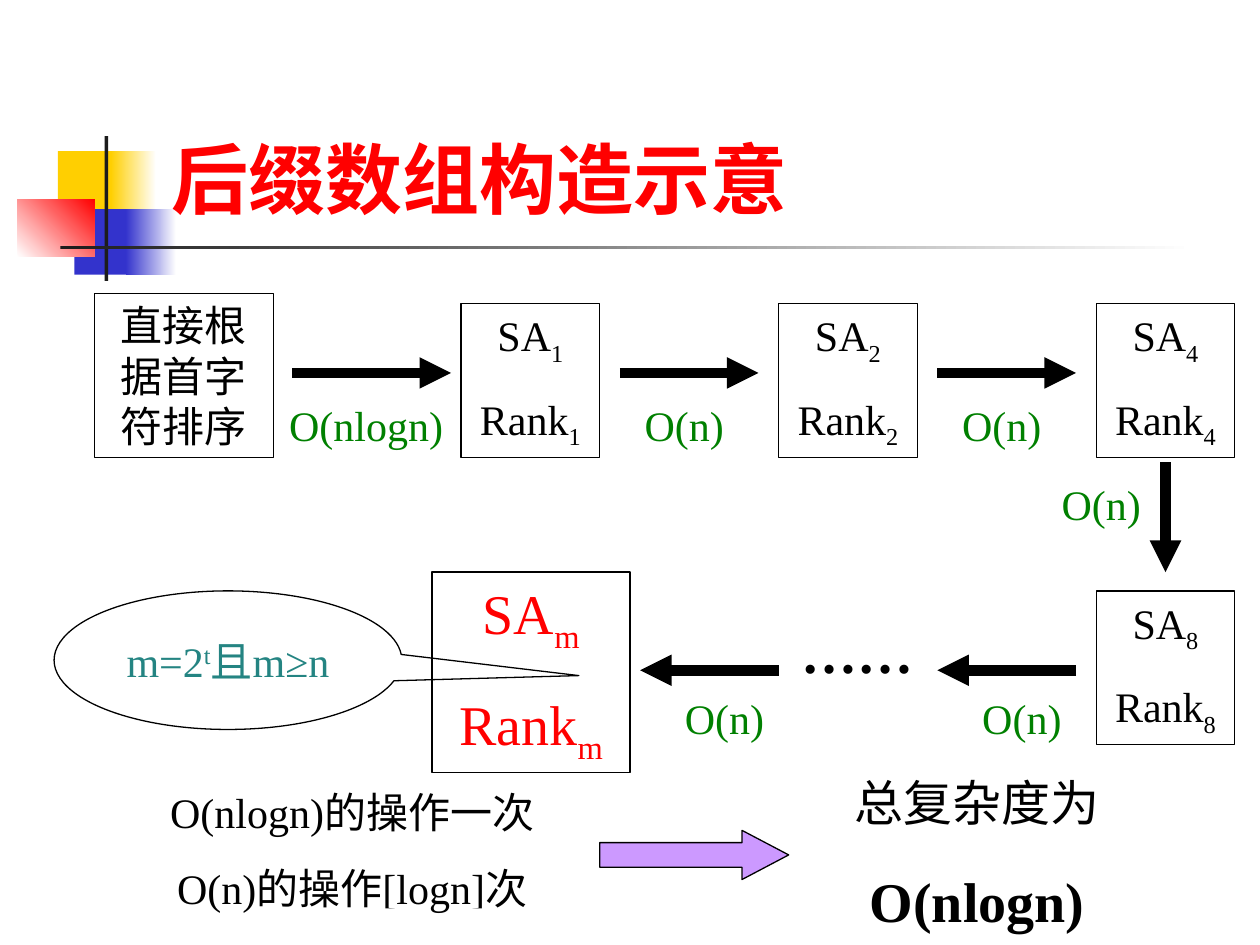
from dataclasses import dataclass

from lxml.etree import SubElement
from pptx import Presentation
from pptx.dml.color import RGBColor
from pptx.enum.shapes import MSO_CONNECTOR, MSO_SHAPE
from pptx.enum.text import MSO_ANCHOR, MSO_AUTO_SIZE, PP_ALIGN
from pptx.oxml.ns import qn
from pptx.util import Inches, Pt

BLACK = RGBColor(0x00, 0x00, 0x00)
WHITE = RGBColor(0xFF, 0xFF, 0xFF)
RED = RGBColor(0xFF, 0x00, 0x00)
GREEN = RGBColor(0x00, 0x80, 0x00)
TEAL = RGBColor(0x24, 0x84, 0x82)
YELLOW = RGBColor(0xFF, 0xCF, 0x01)
BLUE = RGBColor(0x33, 0x33, 0xCC)
DARK = RGBColor(0x1C, 0x1C, 0x1C)
LILAC = RGBColor(0xCC, 0x99, 0xFF)
SERIF = "Times New Roman"
SANS = "Noto Sans CJK SC"
SUB, SUPER = -25000, 30000
GAP = 2.52


@dataclass
class Area:
    left: float
    top: float
    width: float
    height: float

    def size(self) -> tuple:
        return tuple(Inches(v) for v in (self.left, self.top, self.width, self.height))


@dataclass
class Block:
    area: Area
    start: RGBColor
    end: RGBColor | None = None
    angle: int = 0


@dataclass
class Node:
    area: Area
    index: str
    size: int = 24
    color: RGBColor = BLACK


@dataclass
class Arrow:
    start: tuple[float, float]
    end: tuple[float, float]


@dataclass
class Cost:
    area: Area
    text: str = "O(n)"


def write(frame, *lines, size=24, color=BLACK, font=SERIF, bold=False, align=PP_ALIGN.CENTER,
          before=15, spacing=None, anchor=MSO_ANCHOR.TOP, grow=True, fresh=True) -> None:
    frame.word_wrap = True
    frame.vertical_anchor = anchor
    frame.auto_size = MSO_AUTO_SIZE.SHAPE_TO_FIT_TEXT if grow else MSO_AUTO_SIZE.NONE
    for i, line in enumerate(lines):
        first = fresh and i == 0
        para = frame.paragraphs[0] if first else frame.add_paragraph()
        para.alignment = align
        para.space_before = Pt(0 if first else before)
        if spacing:
            para.line_spacing = spacing
        for part in [line] if isinstance(line, str) else line:
            text, base = (part, 0) if isinstance(part, str) else part
            run = para.add_run()
            run.text = text
            run.font.size = Pt(size)
            run.font.bold = bold
            run.font.color.rgb = color
            run.font.name = font
            props = run.font._element
            SubElement(props, qn("a:ea")).set("typeface", SANS)
            if base:
                props.set("baseline", str(base))


def add_shape(slide, kind: MSO_SHAPE, area: Area, fill=None, line=None):
    shape = slide.shapes.add_shape(kind, *area.size())
    shape.shadow.inherit = False
    if fill is None:
        shape.fill.background()
    else:
        shape.fill.solid()
        shape.fill.fore_color.rgb = fill
    if line is None:
        shape.line.fill.background()
    else:
        shape.line.color.rgb = line
        shape.line.width = Pt(0.75)
    return shape


def add_text(slide, area: Area, *lines, **style):
    frame = slide.shapes.add_textbox(*area.size()).text_frame
    write(frame, *lines, **style)
    return frame


def add_block(slide, block: Block) -> None:
    shape = add_shape(slide, MSO_SHAPE.RECTANGLE, block.area, block.start)
    if block.end is not None:
        shape.fill.gradient()
        shape.fill.gradient_angle = block.angle
        for stop, color in zip(shape.fill.gradient_stops, (block.start, block.end)):
            stop.color.rgb = color


def add_node(slide, node: Node) -> None:
    box = add_shape(slide, MSO_SHAPE.RECTANGLE, node.area, line=BLACK)
    lines = [(name, (node.index, SUB)) for name in ("SA", "Rank")]
    write(box.text_frame, *lines, size=node.size, color=node.color, before=node.size * 0.625)


def add_arrow(slide, arrow: Arrow) -> None:
    ends = [Inches(v) for v in (*arrow.start, *arrow.end)]
    link = slide.shapes.add_connector(MSO_CONNECTOR.STRAIGHT, *ends)
    link.line.color.rgb = BLACK
    link.line.width = Pt(6)
    SubElement(link.line._get_or_add_ln(), qn("a:tailEnd")).set("type", "triangle")
    SubElement(link._element.spPr, qn("a:effectLst"))


BLOCKS = [
    Block(Area(0.46, 1.2, 0.48, 0.52), YELLOW),
    Block(Area(0.88, 1.2, 0.36, 0.52), YELLOW, WHITE),
    Block(Area(0.59, 1.66, 0.46, 0.52), BLUE),
    Block(Area(1, 1.66, 0.4, 0.52), BLUE, WHITE),
    Block(Area(0.14, 1.58, 0.61, 0.46), WHITE, RED, 45),
    Block(Area(0.83, 1.08, 0.03, 1.15), DARK),
    Block(Area(0.48, 1.95, 9, 0.03), DARK, WHITE),
]
NODES = [Node(Area(3.66 + GAP * i, 2.41, 1.1, 1.22), str(2 ** i)) for i in range(3)] + [
    Node(Area(8.7, 4.69, 1.1, 1.22), "8"),
    Node(Area(3.43, 4.54, 1.57, 1.59), "m", 32, RED),
]
ARROWS = [
    Arrow((2.32, 2.96), (3.58, 2.96)),
    *(Arrow((x, 2.96), (x + 1.1, 2.96)) for x in (4.92, 4.92 + GAP)),
    Arrow((9.25, 3.67), (9.25, 4.54)),
    *(Arrow((x + 1.1, 5.32), (x, 5.32)) for x in (7.44, 5.08)),
]
COSTS = [Cost(Area(2.16, 3.12, 1.49, 0.5), "O(nlogn)")] + [
    Cost(Area(x, y, 1.02, 0.5))
    for x, y in ((4.92, 3.12), (4.92 + GAP, 3.12), (8.23, 3.75), (7.6, 5.45), (5.24, 5.45))
]


def main() -> None:
    deck = Presentation()
    deck.slide_width, deck.slide_height = Inches(10), Inches(7.5)
    slide = deck.slides.add_slide(deck.slide_layouts[6])

    for block in BLOCKS:
        add_block(slide, block)
    add_text(slide, Area(1.26, 0.23, 8.52, 1.6), "后缀数组构造示意", size=44, color=RED, font=SANS,
             bold=True, align=PP_ALIGN.LEFT, anchor=MSO_ANCHOR.BOTTOM, grow=False)

    first = add_shape(slide, MSO_SHAPE.RECTANGLE, Area(0.75, 2.33, 1.42, 1.3), line=BLACK)
    write(first.text_frame, "直接根据首字符排序")
    for node in NODES:
        add_node(slide, node)
    for arrow in ARROWS:
        add_arrow(slide, arrow)
    for cost in COSTS:
        add_text(slide, cost.area, cost.text, color=GREEN)
    add_text(slide, Area(6.1, 4.93, 1.42, 0.56), "……", size=32, bold=True, spacing=0.85)

    bubble = add_shape(slide, MSO_SHAPE.OVAL_CALLOUT, Area(0.43, 4.69, 2.76, 1.1), line=BLACK)
    bubble.adjustments[0], bubble.adjustments[1] = 1.009, 0.111
    write(bubble.text_frame, ("m=2", ("t", SUPER), "且m≥n"), color=TEAL,
          anchor=MSO_ANCHOR.MIDDLE, grow=False)

    add_text(slide, Area(1.06, 6.19, 3.47, 1.11), "O(nlogn)的操作一次", "O(n)的操作[logn]次")
    for left in (3.03, 3.74):
        add_shape(slide, MSO_SHAPE.RECTANGLE, Area(left, 7.21, 0.16, 0.21), WHITE)

    result = add_shape(slide, MSO_SHAPE.RIGHT_ARROW, Area(4.76, 6.59, 1.5, 0.39), LILAC, BLACK)
    result.adjustments[0], result.adjustments[1] = 0.5, 0.949
    total = add_text(slide, Area(6.26, 6.08, 2.99, 1.38), "总复杂度为", size=28)
    write(total, "O(nlogn)", size=32, bold=True, before=20, fresh=False)

    deck.save("out.pptx")


if __name__ == "__main__":
    main()
